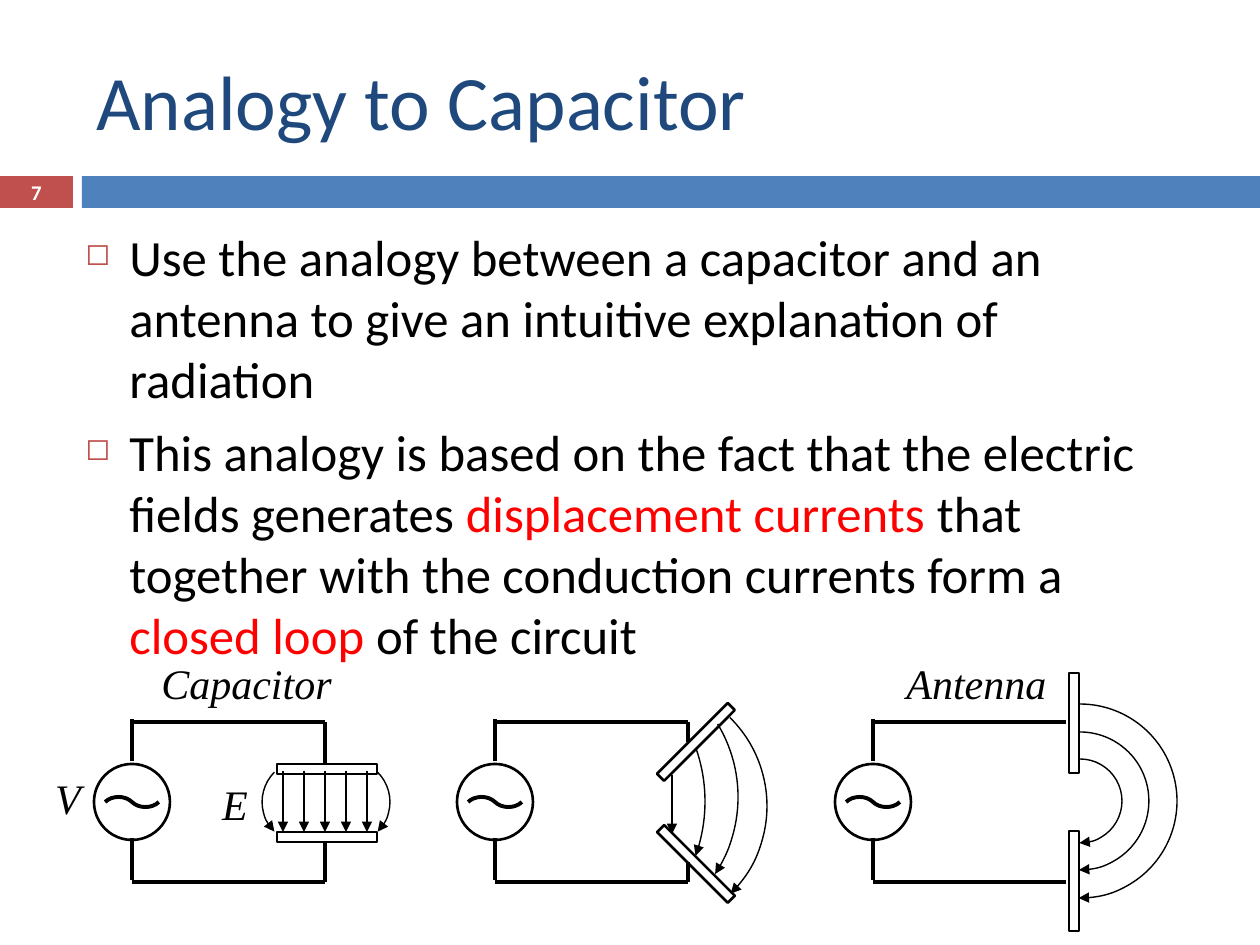
from lxml import etree
from pptx import Presentation
from pptx.dml.color import RGBColor
from pptx.enum.shapes import MSO_CONNECTOR, MSO_SHAPE
from pptx.enum.text import MSO_ANCHOR, PP_ALIGN
from pptx.oxml.ns import qn
from pptx.util import Pt

RECT, OVAL, ARC = MSO_SHAPE.RECTANGLE, MSO_SHAPE.OVAL, MSO_SHAPE.ARC
STRAIGHT, CURVE = MSO_CONNECTOR.STRAIGHT, MSO_CONNECTOR.CURVE
TOP, MIDDLE = MSO_ANCHOR.TOP, MSO_ANCHOR.MIDDLE
LEFT, CENTER = PP_ALIGN.LEFT, PP_ALIGN.CENTER

COLORS = {
    "title": "1F497D",
    "bar": "4F81BD",
    "accent": "C0504D",
    "highlight": "FF0000",
    "ink": "000000",
    "white": "FFFFFF",
}
SANS, SERIF = "Calibri", "Times New Roman"
THIN, OUTLINE, WIRE = 0.79, 1.5, 2.25
EMU_PER_INCH, PX_PER_INCH = 914400, 126

# Parts common to the three circuits, relative to the top wire's level
SOURCE_SIZE, SOURCE_TOP = 76, 42
WIRE_LEFT, WIRE_RIGHT, WIRE_BOTTOM = 38, 231, 160
PLATE_LENGTH, PLATE_DEPTH = 100, 10


def px(length):
    return round(length * EMU_PER_INCH / PX_PER_INCH)


def rgb(name):
    return RGBColor.from_string(COLORS[name])


def add_arrowhead(shape):
    line = shape.line._get_or_add_ln()
    etree.SubElement(line, qn("a:tailEnd"), type="triangle")


def add_line(page, start, end, width=WIRE, arrow=False, kind=STRAIGHT):
    line = page.shapes.add_connector(kind, *map(px, (*start, *end)))
    line.line.color.rgb = rgb("ink")
    line.line.width = Pt(width)
    if arrow:
        add_arrowhead(line)
    etree.SubElement(line._element.spPr, qn("a:effectLst"))
    return line


def add_outline(page, kind, box, width=OUTLINE, rotation=0):
    shape = page.shapes.add_shape(kind, *map(px, box))
    shape.shadow.inherit = False
    shape.fill.background()
    shape.line.color.rgb = rgb("ink")
    shape.line.width = Pt(width)
    shape.rotation = rotation
    return shape


def add_field_arc(page, box, angles=(162, 0), rotation=0, flip=False):
    """Curved field arrow; angles are in units of 5/3 degree, as arc adjustments are."""
    arc = add_outline(page, ARC, box, THIN, rotation)
    arc.adjustments[0], arc.adjustments[1] = angles
    if flip:
        arc._element.spPr.xfrm.set("flipH", "1")
    add_arrowhead(arc)


def add_plate(page, left, top, rotation=0):
    add_outline(page, RECT, (left, top, PLATE_LENGTH, PLATE_DEPTH), rotation=rotation)


def add_bar(page, box, color):
    bar = page.shapes.add_shape(RECT, *map(px, box))
    bar.shadow.inherit = False
    bar.fill.solid()
    bar.fill.fore_color.rgb = rgb(color)
    bar.line.fill.background()


def add_frame(page, box, anchor=TOP):
    frame = page.shapes.add_textbox(*map(px, box)).text_frame
    frame.word_wrap = True
    frame.vertical_anchor = anchor
    return frame


def style_span(span, size, color, name=SANS, bold=False, italic=False):
    font = span.font
    font.size, font.name = Pt(size), name
    font.bold, font.italic = bold, italic
    font.color.rgb = rgb(color)


def add_text(page, box, text, size, color, align=CENTER, anchor=MIDDLE, **style):
    frame = add_frame(page, box, anchor)
    frame.text = text
    para = frame.paragraphs[0]
    para.alignment = align
    style_span(para.runs[0], size, color, **style)


def add_label(page, box, text):
    add_text(page, box, text, 24, "ink", anchor=TOP, name=SERIF, italic=True)


def add_bullet(para):
    props = para._p.get_or_add_pPr()
    props.set("marL", str(px(44)))
    props.set("indent", str(px(-44)))
    color = etree.SubElement(props, qn("a:buClr"))
    etree.SubElement(color, qn("a:srgbClr"), val=COLORS["accent"])
    etree.SubElement(props, qn("a:buSzPct"), val="60000")
    etree.SubElement(props, qn("a:buChar"), char="◻")


def add_header(page, left, top, width):
    add_bar(page, (left, top + 176, 73, 32), "accent")
    add_bar(page, (left + 82, top + 176, width - 82, 32), "bar")
    add_text(page, (left + 84, top + 32, 1124, 136), "Analogy to Capacitor", 44,
             "title", align=LEFT)
    add_text(page, (left, top + 175, 73, 34), "7", 11.9, "white", bold=True)


def add_body(page, box, items):
    frame = add_frame(page, box)
    for index, item in enumerate(items):
        para = frame.add_paragraph() if index else frame.paragraphs[0]
        if index:
            para.space_before = Pt(7)
        add_bullet(para)
        for text, color in item:
            span = para.add_run()
            span.text = text
            style_span(span, 29, color)


def add_circuit(page, left, top):
    """Voltage source with the wires leading to the two plates."""
    center = left + WIRE_LEFT
    right, bottom = left + WIRE_RIGHT, top + WIRE_BOTTOM
    add_outline(page, OVAL, (left, top + SOURCE_TOP, SOURCE_SIZE, SOURCE_SIZE))
    wave = add_line(page, (left + 19, top + 61), (left + 57, top + 99), kind=CURVE)
    wave._element.spPr.xfrm.set("rot", str(315 * 60000))
    for y in (top, bottom):
        add_line(page, (center, y), (right, y))
    add_line(page, (center, top + 39), (center, top - 3))
    add_line(page, (center, bottom - 2), (center, top + 116))


def add_leads(page, left, top, length):
    x, bottom = left + WIRE_RIGHT, top + WIRE_BOTTOM
    add_line(page, (x, top + length), (x, top))
    add_line(page, (x, bottom), (x, bottom - length))


def add_capacitor(page, left, top):
    add_circuit(page, left, top)
    add_leads(page, left, top, 41)
    for y in (42, 110):
        add_plate(page, left + 183, top + y)
    for step in range(-2, 3):
        x = left + WIRE_RIGHT + 21 * step
        add_line(page, (x, top + 49), (x, top + 110), THIN, arrow=True)
    add_field_arc(page, (left + 212, top + 38, 84, 84), rotation=45)
    add_field_arc(page, (left + 168, top + 38, 84, 84), rotation=315, flip=True)
    add_label(page, (left + 42, top - 71, 221, 63), "Capacitor")
    add_label(page, (left - 62, top + 44, 72, 63), "V")
    add_label(page, (left + 105, top + 50, 72, 63), "E")


def add_opened_capacitor(page, left, top):
    add_circuit(page, left, top)
    add_leads(page, left, top, 20)
    for y, rotation in ((15, 315), (137, 45)):
        add_plate(page, left + 189, top + y, rotation)
    add_line(page, (left + 215, top + 53), (left + 215, top + 112), THIN, arrow=True)
    for x, y, size, angles in (
        (62, -40, 248, (161.72, 0)),
        (-1, -66, 282, (170.29, 208.86)),
        (-75, -82, 323, (177.56, 200.79)),
    ):
        add_field_arc(page, (left + x, top + y, size, size), angles, 45)


def add_antenna(page, left, top):
    add_circuit(page, left, top)
    for y, rotation in ((-4, 270), (154, 90)):
        add_plate(page, left + 189, top + y, rotation)
    for radius in (42, 69, 97):
        box = (left + 245 - radius, top + 79 - radius, 2 * radius, 2 * radius)
        add_field_arc(page, box, (162, 54.48))
    add_label(page, (left + 47, top - 71, 189, 63), "Antenna")


def main():
    deck = Presentation()
    deck.slide_width, deck.slide_height = px(1260), px(945)
    page = deck.slides.add_slide(deck.slide_layouts[6])
    add_header(page, 0, 0, 1260)
    add_body(page, (73, 220, 1124, 420), [
        [("Use the analogy between a capacitor and an antenna to give an intuitive "
          "explanation of radiation", "ink")],
        [("This analogy is based on the fact that the electric fields generates ", "ink"),
         ("displacement currents", "highlight"),
         (" that together with the conduction currents form a ", "ink"),
         ("closed loop", "highlight"),
         (" of the circuit", "ink")],
    ])
    add_capacitor(page, 94, 722)
    add_opened_capacitor(page, 457, 722)
    add_antenna(page, 835, 722)
    deck.save("out.pptx")


if __name__ == "__main__":
    main()
